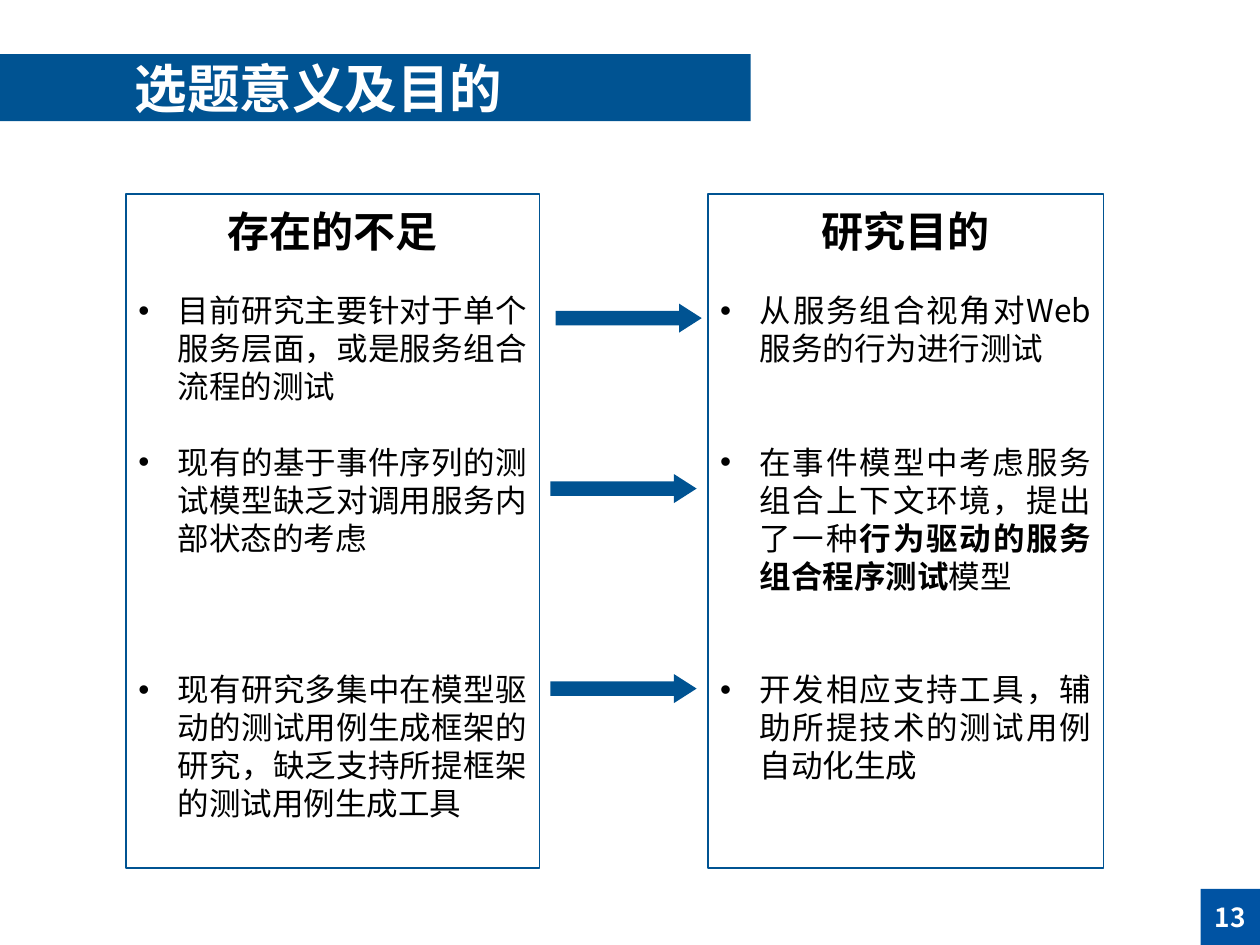
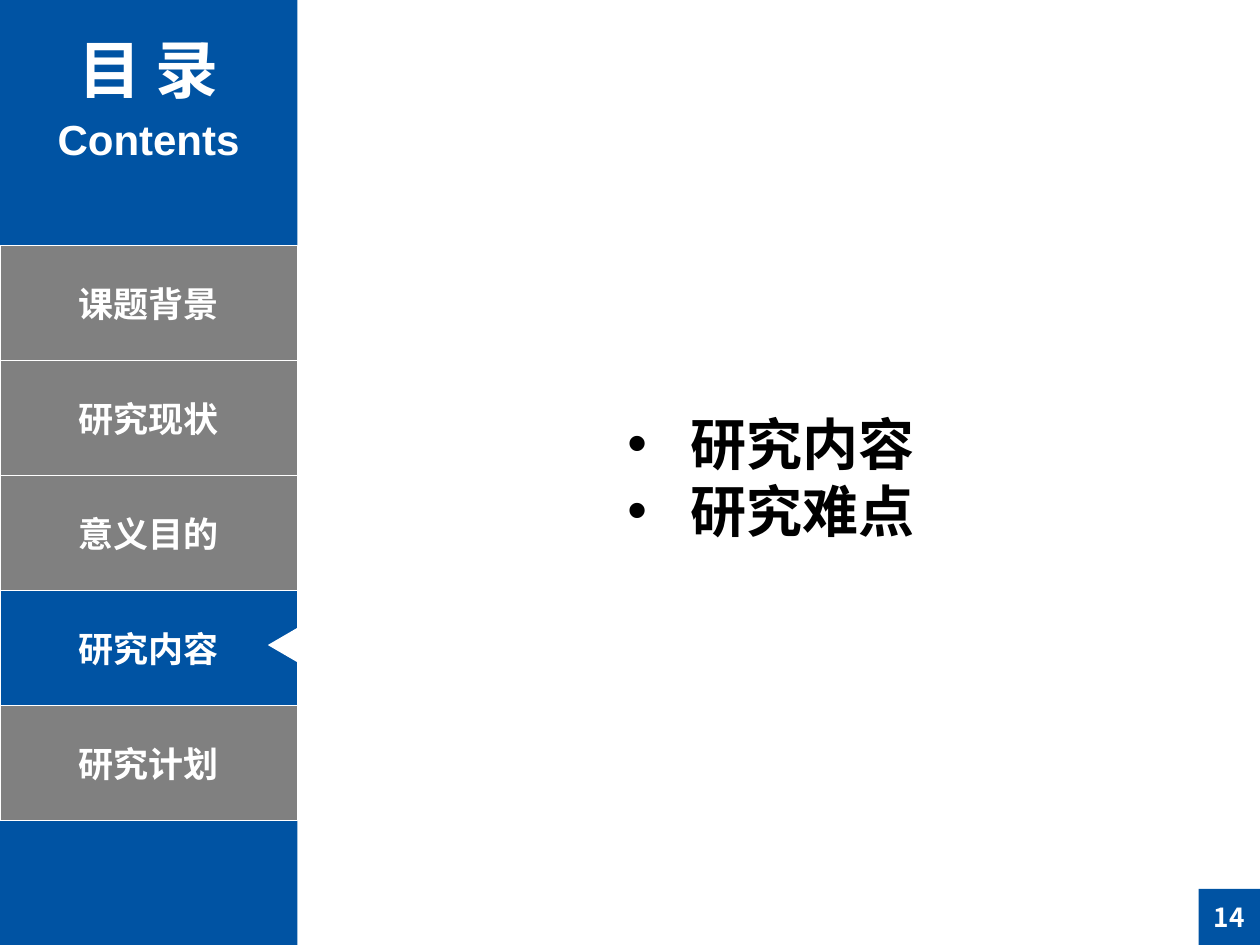
"""Build two slides: research purpose and contents."""
from lxml import etree
from pptx import Presentation
from pptx.dml.color import RGBColor
from pptx.enum import shapes, text
from pptx.oxml import ns
from pptx.util import Pt

NAVY = RGBColor(0x00, 0x53, 0x92)
BLUE = RGBColor(0x00, 0x53, 0xA3)
GRAY = RGBColor(0x80, 0x80, 0x80)
WHITE = RGBColor(0xFF, 0xFF, 0xFF)
BLACK = RGBColor(0x00, 0x00, 0x00)
SANS = "Noto Sans CJK SC"
TITLE = "Noto Sans CJK JP"
ARIAL = "Arial"
KIND = shapes.MSO_SHAPE
ALIGN = text.PP_ALIGN
MID = text.MSO_ANCHOR.MIDDLE

WIDE, HIGH = 720, 540
LINE = 21.65
PANELS = [
    (72, 236.2, "存在的不足", [
        (0, ["目前研究主要针对于单个服务层面，或是服务组合流程的测试"]),
        (1, ["现有的基于事件序列的测试模型缺乏对调用服务内部状态的考虑"]),
        (3, ["现有研究多集中在模型驱动的测试用例生成框架的研究，"
             "缺乏支持所提框架的测试用例生成工具"]),
    ]),
    (404.5, 226.2, "研究目的", [
        (0, ["从服务组合视角对Web服务的行为进行测试"]),
        (2, ["在事件模型中考虑服务组合上下文环境，提出了一种",
             "行为驱动的服务组合程序测试", "模型"]),
        (2, ["开发相应支持工具，辅助所提技术的测试用例自动化生成"]),
    ]),
]
ARROWS = [(317.5, 173.5), (314.6, 270.9), (314.6, 385.2)]
MENU = ["课题背景", "研究现状", "意义目的", "研究内容", "研究计划"]
ACTIVE = 3
TOPICS = ["研究内容", "研究难点"]


def block(slide, kind, left, top, width, height, fill, edge=None, thick=0.75):
    """Add a filled shape without shadow."""
    item = slide.shapes.add_shape(
        kind, Pt(left), Pt(top), Pt(width), Pt(height))
    item.shadow.inherit = False
    item.fill.solid()
    item.fill.fore_color.rgb = fill
    if edge is None:
        item.line.fill.background()
    else:
        item.line.color.rgb = edge
        item.line.width = Pt(thick)
    return item


def style(run, size, color, bold=True, face=SANS):
    """Set the look of a run in both scripts."""
    font = run.font
    font.size, font.bold, font.name = Pt(size), bold, face
    font.color.rgb = color
    east = SANS if face == ARIAL else face
    etree.SubElement(run._r.get_or_add_rPr(), ns.qn("a:ea"), typeface=east)


def write(para, parts, size, color, align, bold=True, face=SANS, line=None):
    """Fill a paragraph; every second part turns bold."""
    para.alignment = align
    if line:
        para.line_spacing = Pt(line)
    for num, part in enumerate(parts):
        run = para.add_run()
        run.text = part
        style(run, size, color, bold or num % 2 == 1, face)


def bullet(para, hang):
    """Give a paragraph a hanging bullet."""
    props = para._p.get_or_add_pPr()
    props.set("marL", str(Pt(hang)))
    props.set("indent", str(-Pt(hang)))
    etree.SubElement(props, ns.qn("a:buFont"), typeface=ARIAL)
    etree.SubElement(props, ns.qn("a:buChar"), char="•")


def label(item, words, size, color=WHITE, align=ALIGN.CENTER, face=SANS):
    """Put one centred line in a shape."""
    frame = item.text_frame
    frame.word_wrap = True
    frame.vertical_anchor = MID
    write(frame.paragraphs[0], [words], size, color, align, face=face)


def box(slide, left, top, width, height):
    """Add a wrapping text box and return its frame."""
    frame = slide.shapes.add_textbox(
        Pt(left), Pt(top), Pt(width), Pt(height)).text_frame
    frame.word_wrap = True
    return frame


def badge(slide, num, width):
    """Add the page number in the corner."""
    item = block(slide, KIND.RECTANGLE, WIDE - width, 508, width, 32, BLUE)
    item.text_frame.margin_left = item.text_frame.margin_right = 0
    label(item, str(num), 15)


def panel(slide, left, width, head, points):
    """Add a framed column with a heading and bullets."""
    item = block(slide, KIND.RECTANGLE, left, 110.9, width, 385.2,
                 WHITE, NAVY, 0.85)
    frame = item.text_frame
    frame.word_wrap = True
    frame.vertical_anchor = text.MSO_ANCHOR.TOP
    write(frame.paragraphs[0], [head], 24, BLACK, ALIGN.CENTER, line=32)
    for gap, parts in points:
        para = frame.add_paragraph()
        write(para, parts, 18, BLACK, ALIGN.JUSTIFY, False, line=LINE)
        para.space_before = Pt(gap * LINE or 20)
        bullet(para, 22.5)


def purpose(slide):
    """Build the purpose slide."""
    band = block(slide, KIND.RECTANGLE, 0, 31, 429, 38.2, NAVY)
    label(band, "选题意义及目的", 30, align=ALIGN.LEFT, face=TITLE)
    band.text_frame.margin_left = Pt(77)
    band.text_frame.margin_top = band.text_frame.margin_bottom = 0
    badge(slide, 13, 34)
    for spec_row in PANELS:
        panel(slide, *spec_row)
    for left, top in ARROWS:
        arrow = block(slide, KIND.RIGHT_ARROW, left, top, 83.5, 16.6, NAVY)
        arrow.adjustments[1] = 0.78


def contents(slide):
    """Build the contents slide."""
    side, step = 170, 65.7
    block(slide, KIND.RECTANGLE, 0, 0, side, HIGH, BLUE)
    for words, size, top, high, line in [
            ("目 录", 36, 10.8, 51, 46), ("Contents", 24, 61.2, 36, None)]:
        frame = box(slide, 8.6, top, 152.6, high)
        write(frame.paragraphs[0], [words], size, WHITE, ALIGN.CENTER,
              face=ARIAL, line=line)
    for num, words in enumerate(MENU):
        fill = BLUE if num == ACTIVE else GRAY
        label(block(slide, KIND.RECTANGLE, 0, 140.4 + num * step, side, step,
                    fill, WHITE), words, 20)
    mark = block(slide, KIND.ISOSCELES_TRIANGLE, 151.6, 360, 20, 17.2, WHITE)
    mark.rotation = 270
    badge(slide, 14, 35)
    frame = box(slide, 306.7, 231, 267.8, 85)
    for num, words in enumerate(TOPICS):
        para = frame.add_paragraph() if num else frame.paragraphs[0]
        write(para, [words], 32, BLACK, ALIGN.CENTER, line=38)
        bullet(para, 36)


def main():
    """Build and save the deck."""
    deck = Presentation()
    deck.slide_width, deck.slide_height = Pt(WIDE), Pt(HIGH)
    for build in (purpose, contents):
        build(deck.slides.add_slide(deck.slide_layouts[6]))
    deck.save("out.pptx")


if __name__ == "__main__":
    main()
